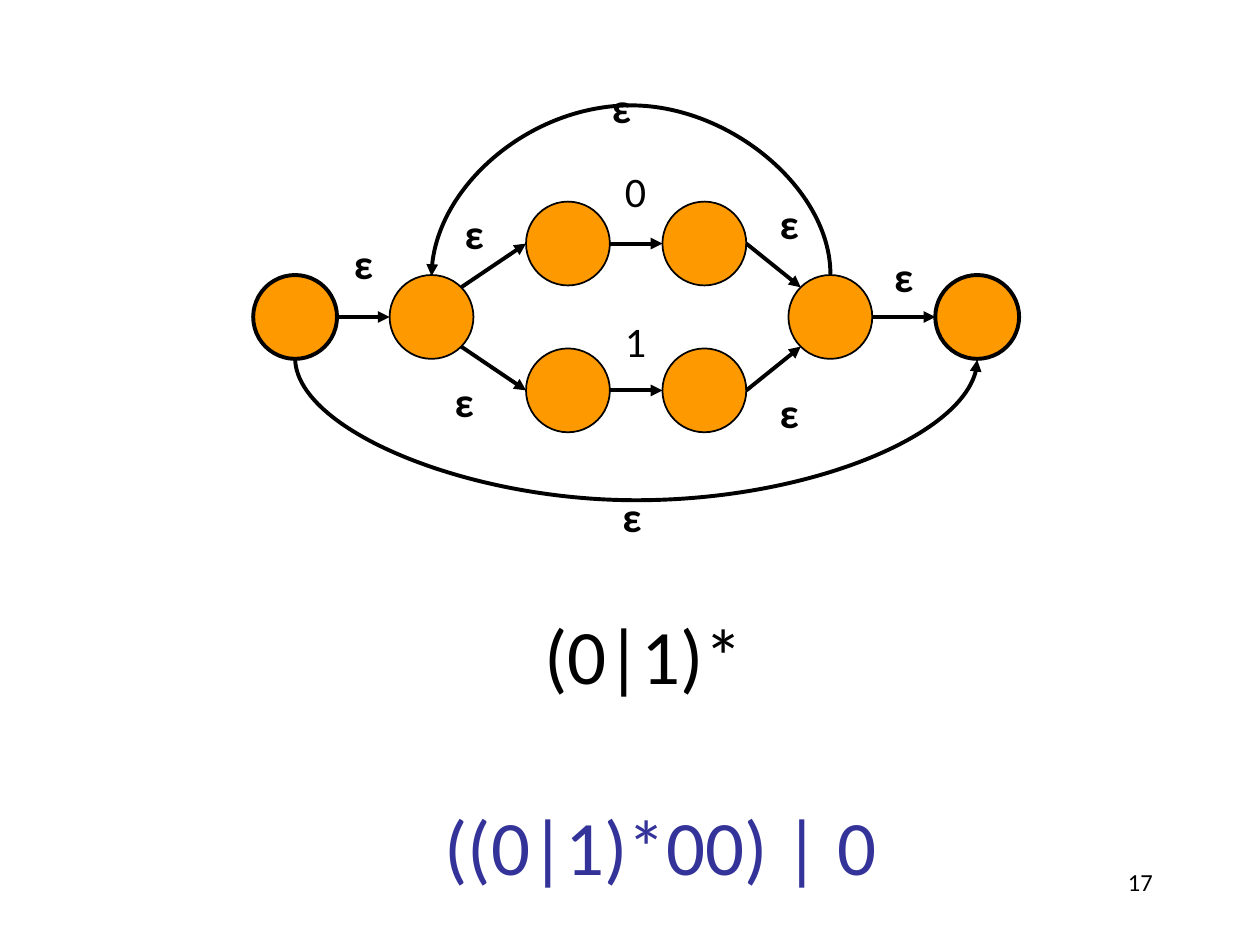
from math import sqrt

from lxml import etree
from pptx import Presentation
from pptx.dml.color import RGBColor
from pptx.enum import shapes, text
from pptx.oxml import ns
from pptx.util import Cm, Pt

COLORS = {"ink": "000000", "state": "FF9900", "formula": "333399"}
DIAMETER = 1.69
RADIUS = DIAMETER / 2
DIAGONAL = RADIUS / sqrt(2)

deck = Presentation()
deck.slide_width, deck.slide_height = Cm(25.4), Cm(19.05)
page = deck.slides.add_slide(deck.slide_layouts[6])


def add_text(words, left, top, width, height, size, color="ink", bold=False,
             align=text.PP_ALIGN.LEFT):
    box = page.shapes.add_textbox(Cm(left), Cm(top), Cm(width), Cm(height))
    box.text_frame.word_wrap = True
    para = box.text_frame.paragraphs[0]
    para.text = words
    para.alignment = align
    para.font.name = "Calibri"
    para.font.size = Pt(size)
    para.font.bold = bold
    para.font.color.rgb = RGBColor.from_string(COLORS[color])


def add_arrow(kind, start, end):
    points = [Cm(value) for value in (*start, *end)]
    arrow = page.shapes.add_connector(kind, *points)
    arrow.line.color.rgb = RGBColor.from_string(COLORS["ink"])
    arrow.line.width = Pt(2.25)
    etree.SubElement(arrow.line._get_or_add_ln(), ns.qn("a:tailEnd"), type="triangle")
    etree.SubElement(arrow._element.spPr, ns.qn("a:effectLst"))
    return arrow


# States: centre and outline width
states = {
    "start": (5.95, 6.39, 2.25),
    "split": (8.7, 6.39, 1),
    "zero in": (11.45, 4.91, 1),
    "zero out": (14.2, 4.91, 1),
    "one in": (11.45, 7.87, 1),
    "one out": (14.2, 7.87, 1),
    "join": (16.74, 6.39, 1),
    "accept": (19.7, 6.39, 2.25),
}
for x, y, outline in states.values():
    circle = page.shapes.add_shape(
        shapes.MSO_SHAPE.FLOWCHART_CONNECTOR,
        Cm(x - RADIUS), Cm(y - RADIUS), Cm(DIAMETER), Cm(DIAMETER))
    circle.shadow.inherit = False
    circle.fill.solid()
    circle.fill.fore_color.rgb = RGBColor.from_string(COLORS["state"])
    circle.line.color.rgb = RGBColor.from_string(COLORS["ink"])
    circle.line.width = Pt(outline)

# Straight transitions; branches leave "split" and reach "join" on the diagonal
transitions = [
    ("start", "split"), ("split", "zero in"), ("split", "one in"),
    ("zero in", "zero out"), ("one in", "one out"),
    ("zero out", "join"), ("one out", "join"), ("join", "accept"),
]
for source, target in transitions:
    x1, y1, _ = states[source]
    x2, y2, _ = states[target]
    slope = (y2 > y1) - (y2 < y1)
    start, end = (x1 + RADIUS, y1), (x2 - RADIUS, y2)
    if slope and source == "split":
        start = (x1 + DIAGONAL, y1 + slope * DIAGONAL)
    elif slope:
        end = (x2 - DIAGONAL, y2 - slope * DIAGONAL)
    add_arrow(shapes.MSO_CONNECTOR.STRAIGHT, start, end)

# Curved transitions: a thin connector turned on its side, bulging by its adjustment
THIN = 0.04
loops = [("join", "split", -1, 3.4, 90), ("start", "accept", 1, 2.87, 270)]
for source, target, side, bulge, turn in loops:
    x1, y, _ = states[source]
    x2 = states[target][0]
    middle, span, level = (x1 + x2) / 2, abs(x2 - x1), y + side * RADIUS
    curve = add_arrow(shapes.MSO_CONNECTOR.CURVE,
                      (middle - THIN / 2, level - span / 2),
                      (middle + THIN / 2, level + span / 2))
    curve.rotation = turn
    frame = curve._element.spPr.find(ns.qn("a:xfrm"))
    frame.set("rot", str(turn * 60000))
    if turn == 270:
        frame.set("flipH", "1")
    guides = curve._element.spPr.find(ns.qn("a:prstGeom")).get_or_add_avLst()
    etree.SubElement(guides, ns.qn("a:gd"), name="adj1",
                     fmla=f"val {round(side * bulge / THIN * 100000)}")

# Transition labels by centre
labels = [
    ("0", 12.81, 3.85), ("1", 12.81, 6.87),
    ("ε", 7.33, 5.31), ("ε", 9.56, 4.7), ("ε", 9.36, 8.08), ("ε", 15.91, 4.5),
    ("ε", 15.91, 8.31), ("ε", 18.22, 5.56), ("ε", 12.53, 2.16), ("ε", 12.74, 10.41),
]
for label, x, y in labels:
    add_text(label, x - 0.47, y - 0.64, 0.94, 1.28, 24, bold=label == "ε",
             align=text.PP_ALIGN.CENTER)

add_text("(0|1)*", 10.72, 12.12, 4.55, 2.13, 44)
add_text("((0|1)*00) | 0", 8.71, 15.98, 9.32, 2.13, 44, "formula")
add_text("17", 18.21, 17.35, 5.28, 1.27, 14, align=text.PP_ALIGN.RIGHT)

deck.save("out.pptx")
